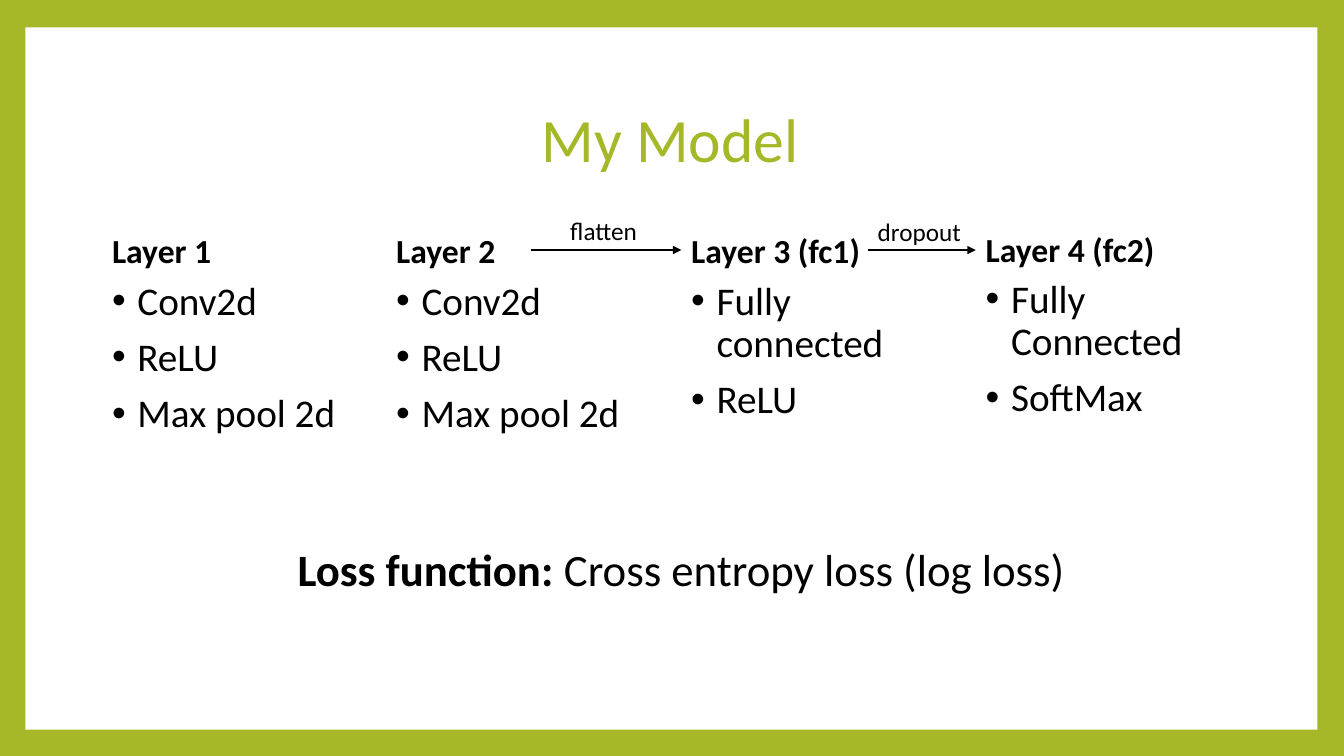
from lxml import etree
from pptx import Presentation
from pptx.dml.color import RGBColor
from pptx.enum.shapes import MSO_CONNECTOR, MSO_SHAPE
from pptx.enum.text import MSO_ANCHOR, MSO_AUTO_SIZE, PP_ALIGN
from pptx.oxml.ns import qn
from pptx.util import Cm, Pt

STRAIGHT = MSO_CONNECTOR.STRAIGHT
RECT = MSO_SHAPE.RECTANGLE
TOP, MIDDLE, BOTTOM = MSO_ANCHOR.TOP, MSO_ANCHOR.MIDDLE, MSO_ANCHOR.BOTTOM
NO_FIT = MSO_AUTO_SIZE.NONE
LEFT, CENTER = PP_ALIGN.LEFT, PP_ALIGN.CENTER
GREEN, BLACK, WHITE = "A6B727", "000000", "FFFFFF"


def rgb(value):
    """Turn a hex string into a colour."""
    return RGBColor.from_string(value)


def write(sp, box, paragraphs, size, color=BLACK, anchor=TOP, align=LEFT, before=10, bullet=False):
    """Place a text shape and fill it with paragraphs of (text, bold) runs."""
    sp.left, sp.top, sp.width, sp.height = [Cm(v) for v in box]
    tf = sp.text_frame
    tf.word_wrap = True
    tf.auto_size = NO_FIT
    tf.vertical_anchor = anchor
    for i, runs in enumerate(paragraphs):
        p = tf.add_paragraph() if i else tf.paragraphs[0]
        p.alignment = align
        p.line_spacing = 0.9
        p.space_before = Pt(before)
        pPr = p._p.get_or_add_pPr()
        indent = Cm(0.64) if bullet else 0
        pPr.set("marL", str(indent))
        pPr.set("indent", str(-indent))
        if bullet:
            etree.SubElement(pPr, qn("a:buFont")).set("typeface", "Arial")
            etree.SubElement(pPr, qn("a:buChar")).set("char", "•")
        else:
            etree.SubElement(pPr, qn("a:buNone"))
        for text, bold in runs:
            r = p.add_run()
            r.text = text
            r.font.name = "Calibri"
            r.font.size = Pt(size)
            r.font.bold = bold
            r.font.color.rgb = rgb(color)


prs = Presentation()
prs.slide_width, prs.slide_height = Cm(33.87), Cm(19.05)
s = prs.slides.add_slide(prs.slide_layouts.get_by_name("Comparison"))
s.background.fill.solid()
s.background.fill.fore_color.rgb = rgb(GREEN)

# White panel behind everything, leaving a green border
panel = s.shapes.add_shape(RECT, Cm(0.64), Cm(0.69), Cm(32.56), Cm(17.7))
panel.shadow.inherit = False
panel.fill.solid()
panel.fill.fore_color.rgb = rgb(WHITE)
panel.line.fill.background()
panel.element.getparent().insert(2, panel.element)

write(s.shapes.title, (3.18, 1.7, 27.43, 3.76), [[("My Model", False)]], 44,
      GREEN, MIDDLE, CENTER, before=0)

# Layer columns: the layout holds two heading and list pairs, text boxes hold the rest
layers = [
    (2.57, 4.67, "Layer 1", ["Conv2d", "ReLU", "Max pool 2d"]),
    (9.73, 4.67, "Layer 2", ["Conv2d", "ReLU", "Max pool 2d"]),
    (17.17, 4.67, "Layer 3 (fc1)", ["Fully connected", "ReLU"]),
    (24.59, 4.62, "Layer 4 (fc2)", ["Fully Connected", "SoftMax"]),
]
COL_W, HEAD_H, LIST_H = 6.96, 2.29, 10.24
holders = {ph.placeholder_format.idx: ph for ph in s.placeholders}
for i, (x, y, name, steps) in enumerate(layers):
    head, body = [holders.get(2 * i + k) or s.shapes.add_textbox(0, 0, 0, 0) for k in (1, 2)]
    write(head, (x, y, COL_W, HEAD_H), [[(name, True)]], 24, anchor=BOTTOM)
    write(body, (x, y + HEAD_H, COL_W, LIST_H), [[(step, False)] for step in steps], 28,
          bullet=True)

# Labelled arrows between layers
ARROW_Y = 6.3
for x1, x2, label, label_x, label_y in [(13.39, 17.17, "flatten", 14.12, 5.69),
                                        (21.87, 24.59, "dropout", 21.87, 5.72)]:
    arrow = s.shapes.add_connector(STRAIGHT, Cm(x1), Cm(ARROW_Y), Cm(x2), Cm(ARROW_Y))
    arrow.line.color.rgb = rgb(BLACK)
    arrow.line.width = Pt(0.79)
    etree.SubElement(arrow.line._get_or_add_ln(), qn("a:tailEnd")).set("type", "triangle")
    etree.SubElement(arrow._element.spPr, qn("a:effectLst"))
    write(s.shapes.add_textbox(0, 0, 0, 0), (label_x, label_y, 3.05, 0.64),
          [[(label, False)]], 18, anchor=BOTTOM)

write(s.shapes.add_textbox(0, 0, 0, 0), (4.47, 13.69, 25.4, 3.45),
      [[("Loss function: ", True), ("Cross entropy loss (log loss)", False)]], 32, align=CENTER)

prs.save("out.pptx")
